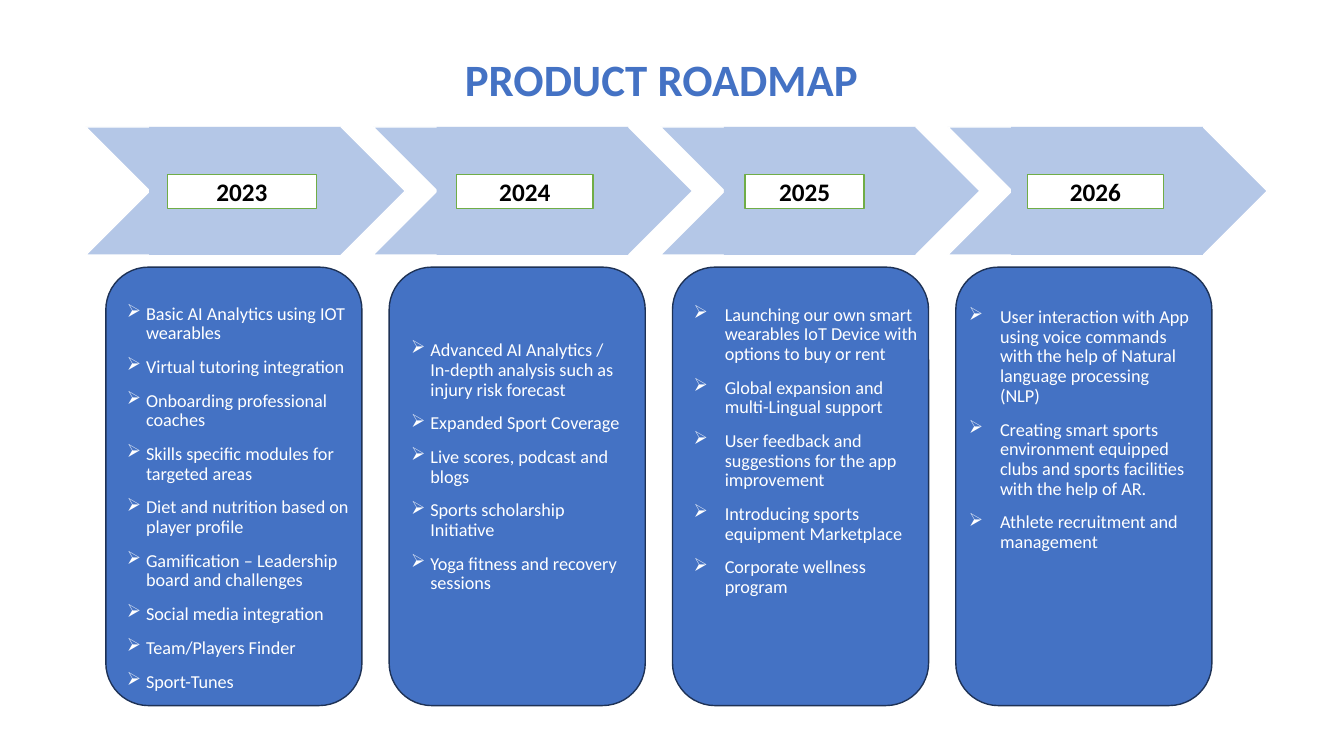
from copy import deepcopy

from lxml import etree
from pptx import Presentation
from pptx.dml.color import RGBColor
from pptx.enum.shapes import MSO_SHAPE
from pptx.enum.text import MSO_ANCHOR, PP_ALIGN
from pptx.oxml.ns import qn
from pptx.util import Emu, Pt

CHEVRON = MSO_SHAPE.CHEVRON
RECTANGLE = MSO_SHAPE.RECTANGLE
ROUNDED = MSO_SHAPE.ROUNDED_RECTANGLE
TOP, MIDDLE, BOTTOM = MSO_ANCHOR.TOP, MSO_ANCHOR.MIDDLE, MSO_ANCHOR.BOTTOM
LEFT, CENTER = PP_ALIGN.LEFT, PP_ALIGN.CENTER

EMU_PER_PX = 9144
FONT = "Calibri"
BLUE, PALE_BLUE, NAVY = "4472C4", "B4C7E7", "1E3256"
GREEN, WHITE, BLACK = "70AD47", "FFFFFF", "000000"

YEARS = [
    dict(label="2023", chip=(166, 148), box=(85, 297, 288, 460), anchor=TOP,
         margin=50, hanging=19, items=[
             "Basic AI Analytics using IOT wearables",
             "Virtual tutoring integration",
             "Onboarding professional coaches",
             "Skills specific modules for targeted areas",
             "Diet and nutrition based on player profile",
             "Gamification – Leadership board and challenges",
             "Social media integration",
             "Team/Players Finder",
             "Sport-Tunes"]),
    dict(label="2024", chip=(453, 135), box=(367, 265, 258, 329), anchor=BOTTOM,
         margin=50, hanging=19, items=[
             "Advanced AI Analytics /\vIn-depth analysis such as injury risk forecast",
             "Expanded Sport Coverage",
             "Live scores, podcast and blogs",
             "Sports scholarship Initiative",
             "Yoga fitness and recovery sessions"]),
    dict(label="2025", chip=(739, 118), box=(647, 298, 284, 387), anchor=TOP,
         margin=62, hanging=31, items=[
             "Launching our own smart wearables IoT Device with\voptions to buy or rent",
             "Global expansion and multi-Lingual support",
             "User feedback and suggestions for the app improvement",
             "Introducing sports equipment Marketplace",
             "Corporate wellness program"]),
    dict(label="2026", chip=(1019, 135), box=(920, 243, 271, 310), anchor=BOTTOM,
         margin=62, hanging=31, items=[
             "User interaction with App using voice commands with the help of "
             "Natural language processing (NLP)",
             "Creating smart sports environment equipped clubs and sports "
             "facilities with the help of AR.",
             "Athlete recruitment and management"]),
]


def px(length):
    return Emu(length * EMU_PER_PX)


def color(hex_string):
    return RGBColor.from_string(hex_string)


def write(para, text, size, ink, bold=False, align=LEFT, spacing=1.0, before=0):
    para.text = text
    para.alignment = align
    para.line_spacing = spacing
    if before:
        para.space_before = Pt(before)
    for span in para.runs:
        span.font.name = FONT
        span.font.size = Pt(size)
        span.font.bold = bold
        span.font.color.rgb = color(ink)
    for line_break in para._p.findall(qn("a:br")):
        line_break.append(deepcopy(para.runs[0]._r.rPr))


def add_bullet(para, margin, hanging):
    properties = para._p.get_or_add_pPr()
    properties.set("marL", str(px(margin)))
    properties.set("indent", str(px(-hanging)))
    etree.SubElement(properties, qn("a:buChar")).set("char", "➢")


class Roadmap:
    def __init__(self, deck):
        self.page = deck.slides.add_slide(deck.slide_layouts[6])

    def shape(self, kind, x, y, width, height, fill, line=None, group=None):
        shapes = (group or self.page).shapes
        shape = shapes.add_shape(kind, px(x), px(y), px(width), px(height))
        shape.shadow.inherit = False
        shape.fill.solid()
        shape.fill.fore_color.rgb = color(fill)
        if line:
            shape.line.color.rgb = color(line)
            shape.line.width = Pt(1)
        else:
            shape.line.fill.background()
        return shape

    def arrow(self, x):
        group = self.page.shapes.add_group_shape()
        self.shape(CHEVRON, x, 126, 317, 127, PALE_BLUE, WHITE, group)
        self.shape(RECTANGLE, x + 63, 126, 190, 127, PALE_BLUE, group=group)

    def text_box(self, x, y, width, height, anchor):
        box = self.page.shapes.add_textbox(px(x), px(y), px(width), px(height))
        box.text_frame.word_wrap = True
        box.text_frame.vertical_anchor = anchor
        return box.text_frame

    def title(self, text):
        frame = self.text_box(26, 27, 1260, 83, BOTTOM)
        write(frame.paragraphs[0], text, 32, BLUE, bold=True, align=CENTER, spacing=0.9)

    def bullets(self, year):
        frame = self.text_box(*year["box"], year["anchor"])
        for index, item in enumerate(year["items"]):
            para = frame.add_paragraph() if index else frame.paragraphs[0]
            write(para, item, 13, WHITE, spacing=0.9, before=10 if index else 0)
            add_bullet(para, year["margin"], year["hanging"])

    def chip(self, label, x, width):
        chip = self.shape(RECTANGLE, x, 173, width, 34, WHITE, GREEN)
        chip.text_frame.vertical_anchor = MIDDLE
        write(chip.text_frame.paragraphs[0], label, 18, BLACK, bold=True, align=CENTER)


def main():
    deck = Presentation()
    deck.slide_width, deck.slide_height = px(1333), px(750)
    roadmap = Roadmap(deck)
    for index in range(len(YEARS)):
        roadmap.arrow(85 + 285 * index)
    for index in range(len(YEARS)):
        roadmap.shape(ROUNDED, 105 + 281 * index, 265, 254, 435, BLUE, NAVY)
    for year in YEARS:
        roadmap.bullets(year)
    roadmap.title("PRODUCT ROADMAP")
    for year in YEARS:
        roadmap.chip(year["label"], *year["chip"])
    deck.save("out.pptx")


if __name__ == "__main__":
    main()
